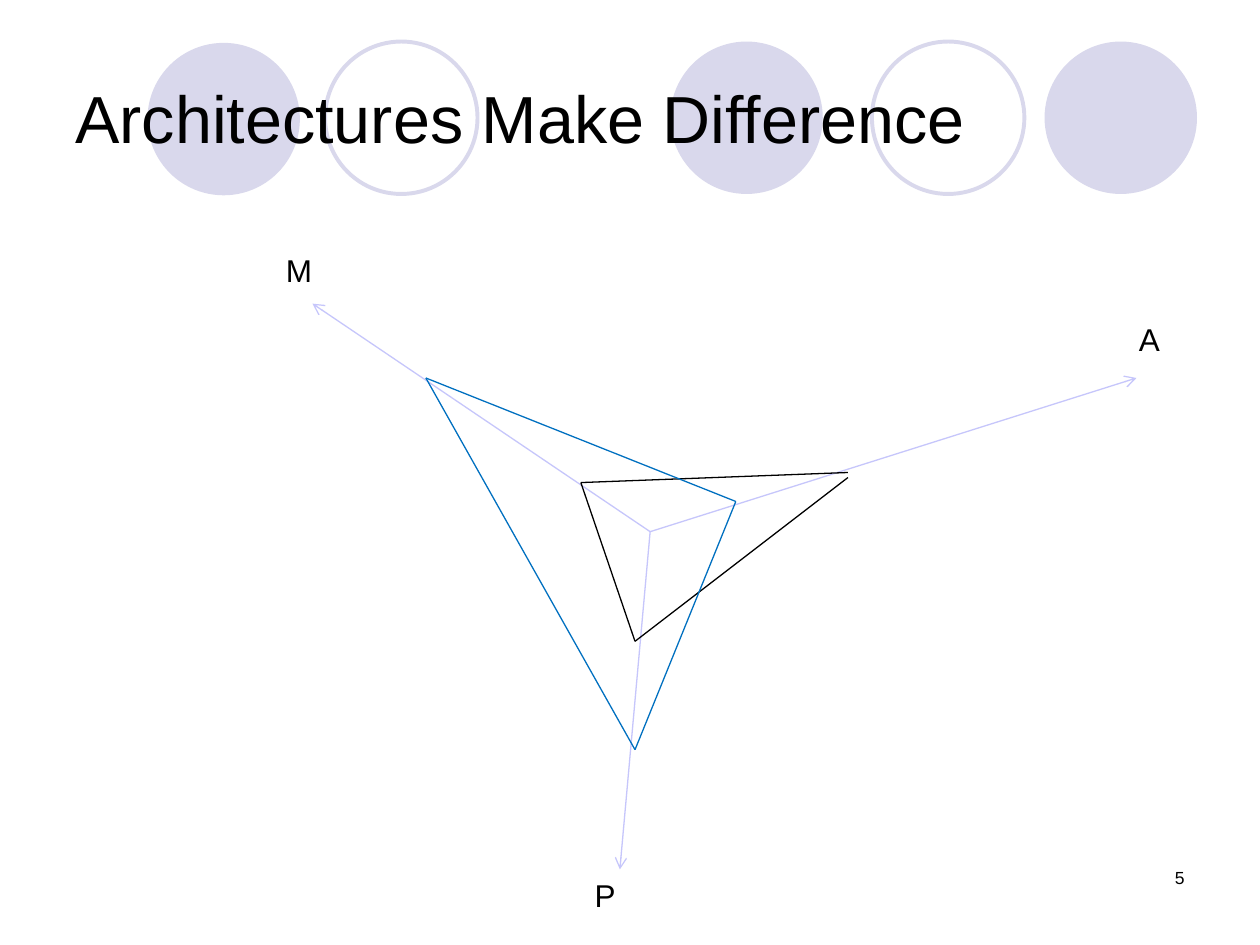
from lxml.etree import SubElement
from pptx import Presentation
from pptx.dml.color import RGBColor
from pptx.enum.shapes import MSO_CONNECTOR as Connector, MSO_SHAPE as Shape
from pptx.enum.text import MSO_ANCHOR as Anchor, PP_ALIGN as Align
from pptx.oxml.ns import qn
from pptx.util import Inches, Pt

COLORS = {
    "circle": "D9D8EC",
    "axis": "C6C6FB",
    "black": "000000",
    "blue": "0070C0",
}
CIRCLE_SIZE = 1.21
CENTER = (5.16, 4.22)


def color(name):
    return RGBColor.from_string(COLORS[name])


def add_circle(slide, left, top, filled):
    size = Inches(CIRCLE_SIZE)
    circle = slide.shapes.add_shape(Shape.OVAL, Inches(left), Inches(top), size, size)
    circle.shadow.inherit = False
    if filled:
        circle.fill.solid()
        circle.fill.fore_color.rgb = color("circle")
        circle.line.fill.background()
    else:
        circle.fill.background()
        circle.line.color.rgb = color("circle")
        circle.line.width = Pt(2.25)


def add_text(slide, text, box, size, align=Align.LEFT, anchor=Anchor.TOP):
    frame = slide.shapes.add_textbox(*map(Inches, box)).text_frame
    frame.word_wrap = True
    frame.vertical_anchor = anchor
    paragraph = frame.paragraphs[0]
    paragraph.text = text
    paragraph.alignment = align
    paragraph.font.name = "Arial"
    paragraph.font.size = Pt(size)
    paragraph.font.color.rgb = color("black")


def add_line(slide, start, end, color_name, arrow=False):
    line = slide.shapes.add_connector(
        Connector.STRAIGHT, *map(Inches, (*start, *end)))
    line.line.color.rgb = color(color_name)
    line.line.width = Pt(0.75)
    if arrow:
        SubElement(line.line._get_or_add_ln(), qn("a:tailEnd"), type="arrow")
    SubElement(line._element.spPr, qn("a:effectLst"))


def main():
    presentation = Presentation()
    presentation.slide_width = Inches(10)
    presentation.slide_height = Inches(7.5)
    slide = presentation.slides.add_slide(presentation.slide_layouts[6])

    for left, top, filled in (
        (5.32, 0.33, True),
        (8.29, 0.33, True),
        (1.17, 0.34, True),
        (6.92, 0.33, False),
        (2.58, 0.33, False),
    ):
        add_circle(slide, left, top, filled)

    add_text(slide, "Architectures Make Difference", (0.5, 0.3, 9, 1.25), 38,
             anchor=Anchor.MIDDLE)
    add_text(slide, "5", (7.17, 6.83, 2.33, 0.5), 10, align=Align.RIGHT)

    for tip in ((9.02, 3), (2.48, 2.41), (4.92, 6.9)):
        add_line(slide, CENTER, tip, "axis", arrow=True)

    triangles = {
        "black": (
            ((4.61, 3.83), (5.04, 5.09)),
            ((4.61, 3.83), (6.73, 3.75)),
            ((6.73, 3.79), (5.04, 5.09)),
        ),
        "blue": (
            ((3.38, 3), (5.84, 3.98)),
            ((3.38, 3), (5.04, 5.95)),
            ((5.84, 3.98), (5.04, 5.95)),
        ),
    }
    for color_name, sides in triangles.items():
        for start, end in sides:
            add_line(slide, start, end, color_name)

    for label, left, top, width in (
        ("A", 8.94, 2.49, 0.79),
        ("M", 2.17, 1.94, 0.71),
        ("P", 4.62, 6.9, 0.71),
    ):
        add_text(slide, label, (left, top, width, 0.4), 18)

    presentation.save("out.pptx")


main()
